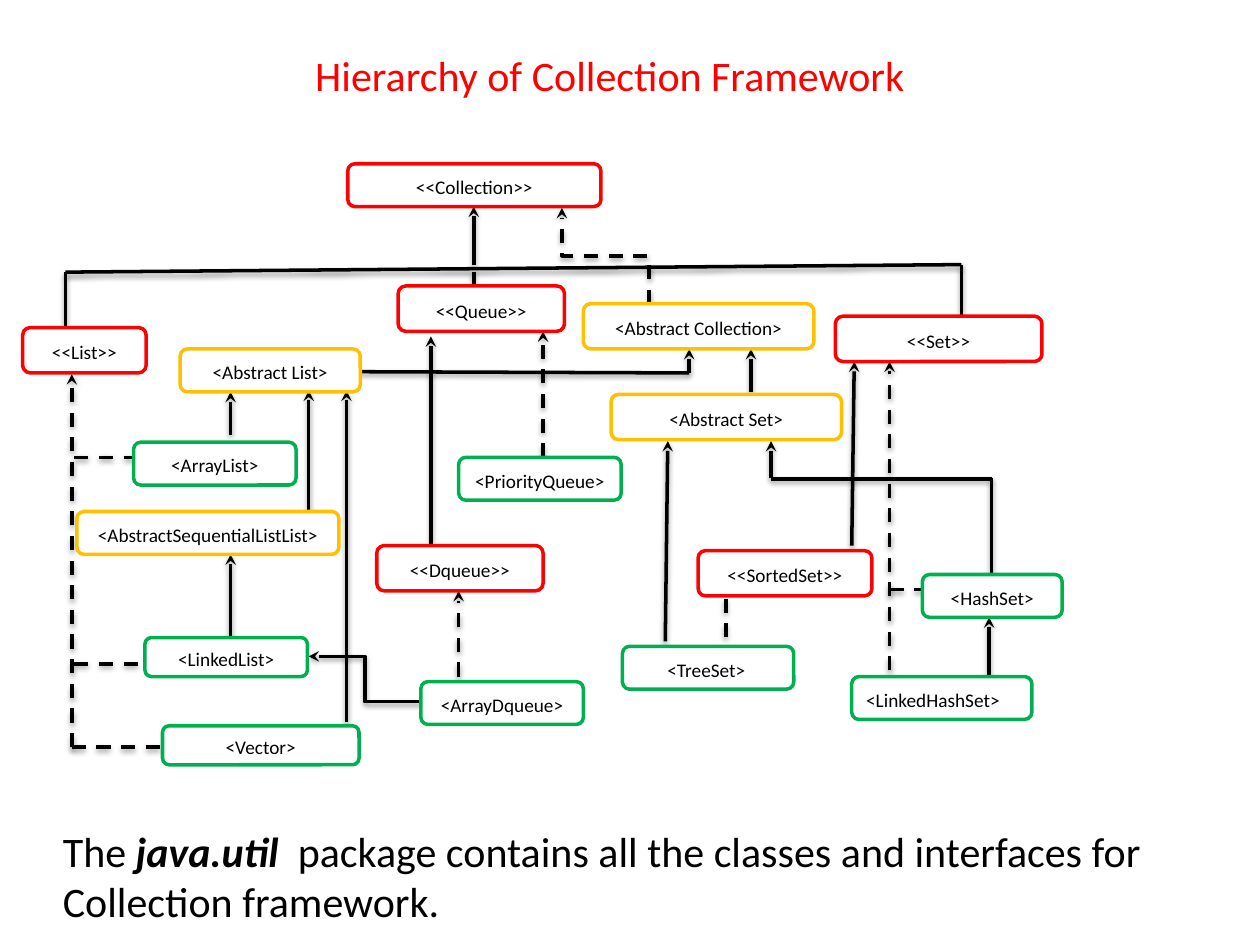
from lxml.etree import SubElement
from pptx import Presentation
from pptx.dml.color import RGBColor
from pptx.enum.dml import MSO_LINE
from pptx.enum.shapes import MSO_CONNECTOR, MSO_SHAPE
from pptx.enum.text import MSO_ANCHOR, PP_ALIGN
from pptx.oxml.ns import qn
from pptx.util import Inches, Pt

BLACK, WHITE, RED, GOLD, GREEN = "000000", "FFFFFF", "FF0000", "FFC000", "00B050"

BOXES = {
    RED: [
        ("<<Collection>>", 2.76, 1.3, 2.01, 0.34),
        ("<<List>>", 0.18, 2.6, 0.98, 0.36),
        ("<<Queue>>", 3.16, 2.27, 1.32, 0.36),
        ("<<Set>>", 6.63, 2.51, 1.64, 0.36),
        ("<<Dqueue>>", 2.99, 4.33, 1.32, 0.36),
        ("<<SortedSet>>", 5.54, 4.37, 1.38, 0.36),
    ],
    GOLD: [
        ("<Abstract Collection>", 4.63, 2.41, 1.83, 0.36),
        ("<Abstract List>", 1.43, 2.77, 1.43, 0.34),
        ("<AbstractSequentialListList>", 0.61, 4.06, 2.08, 0.34),
        ("<Abstract Set>", 4.85, 3.13, 1.83, 0.36),
    ],
    GREEN: [
        ("<ArrayList>", 1.06, 3.51, 1.29, 0.34),
        ("<LinkedList>", 1.15, 5.06, 1.29, 0.31),
        ("<Vector>", 1.29, 5.76, 1.56, 0.31),
        ("<PriorityQueue>", 3.64, 3.63, 1.29, 0.34),
        ("<ArrayDqueue>", 3.34, 5.41, 1.29, 0.34),
        ("<HashSet>", 7.32, 4.56, 1.11, 0.34),
        ("<LinkedHashSet>", 6.76, 5.37, 1.43, 0.34, 0.1),
        ("<TreeSet>", 4.94, 5.13, 1.36, 0.34, 0.34),
    ],
}

EXTENDS = [
    (3.76, 2.1, 3.76, 1.64),
    (3.42, 4.4, 3.42, 2.67),
    (6.76, 4.33, 6.78, 2.87),
    (5.47, 2.96, 5.47, 2.77),
    (1.83, 3.45, 1.83, 3.11),
    (2.75, 5.73, 2.75, 3.1),
    (2.45, 4.06, 2.45, 3.1),
    (1.83, 5.06, 1.83, 4.4),
    (5.96, 3.11, 5.96, 2.77),
    (6.12, 3.79, 6.12, 3.5),
    (7.85, 5.37, 7.85, 4.9),
    (5.28, 5.09, 5.3, 3.5),
]
IMPLEMENTS = [
    (0.57, 5.93, 0.57, 2.97),
    (4.31, 3.63, 4.31, 2.63),
    (3.64, 5.37, 3.64, 4.69),
    (7.06, 5.32, 7.06, 2.87),
]
JOINS = [
    (0.52, 2.16, 7.63, 2.1),
    (0.52, 2.6, 0.52, 2.16),
    (7.63, 2.1, 7.63, 2.51),
    (3.76, 2.16, 3.76, 2.27),
    (2.85, 2.95, 5.47, 2.96),
    (6.12, 3.8, 7.87, 3.8),
    (7.87, 3.79, 7.87, 4.55),
]
BRANCHES = [
    (0.59, 3.63, 1.06, 3.63),
    (0.59, 5.27, 1.18, 5.27),
    (0.57, 5.93, 1.29, 5.93),
    (7.06, 4.68, 7.32, 4.68),
    (5.76, 4.75, 5.76, 5.06),
]


def color(code):
    """Turn a hex string into a colour."""
    return RGBColor.from_string(code)


def style(run, size, code):
    """Set the font of a run."""
    run.font.name = "Calibri"
    run.font.size = Pt(size)
    run.font.color.rgb = color(code)


def add_box(slide, code, name, left, top, width, height, indent=None):
    """Add a rounded type box, centred unless an indent is given."""
    box = slide.shapes.add_shape(
        MSO_SHAPE.ROUNDED_RECTANGLE,
        Inches(left), Inches(top), Inches(width), Inches(height))
    box.shadow.inherit = False
    box.fill.solid()
    box.fill.fore_color.rgb = color(WHITE)
    box.line.color.rgb = color(code)
    box.line.width = Pt(2)
    frame = box.text_frame
    frame.text = name
    frame.vertical_anchor = MSO_ANCHOR.MIDDLE
    para = frame.paragraphs[0]
    para.line_spacing = 1.15
    para.alignment = PP_ALIGN.CENTER
    if indent is not None:
        para.alignment = PP_ALIGN.LEFT
        frame.margin_left = Inches(indent)
    style(para.runs[0], 11, BLACK)


def add_shadow(link):
    """Give a connector a soft shadow below it."""
    effects = SubElement(link._element.spPr, qn("a:effectLst"))
    outer = SubElement(effects, qn("a:outerShdw"), blurRad=str(Pt(3.1)),
                       dist=str(Pt(1.6)), dir="5400000", rotWithShape="0")
    tint = SubElement(outer, qn("a:srgbClr"), val=BLACK)
    SubElement(tint, qn("a:alpha"), val="38000")


def add_link(slide, ends, dashed=False, arrow=False, kind=MSO_CONNECTOR.STRAIGHT):
    """Add a connector between two points."""
    link = slide.shapes.add_connector(kind, *[Inches(end) for end in ends])
    link.line.color.rgb = color(BLACK)
    link.line.width = Pt(2)
    if dashed:
        link.line.dash_style = MSO_LINE.DASH
    if arrow:
        SubElement(link.line._get_or_add_ln(), qn("a:tailEnd"), type="stealth")
    add_shadow(link)
    return link


def add_riser(slide, left, top, width, height):
    """Add a dashed elbow arrow that leaves the lower right corner upwards."""
    midx, midy = left + width / 2, top + height / 2
    ends = (midx + height / 2, midy - width / 2,
            midx - height / 2, midy + width / 2)
    link = add_link(slide, ends, True, True, MSO_CONNECTOR.ELBOW)
    link._element.spPr.find(qn("a:xfrm")).set("rot", "5400000")


def add_text(slide, left, top, width, height, parts, code, align):
    """Add a text box from pairs of text and emphasis."""
    box = slide.shapes.add_textbox(
        Inches(left), Inches(top), Inches(width), Inches(height))
    box.text_frame.word_wrap = True
    para = box.text_frame.paragraphs[0]
    para.alignment = align
    for text, strong in parts:
        run = para.add_run()
        run.text = text
        style(run, 24, code)
        run.font.bold = run.font.italic = strong


def main():
    """Build the slide and save it."""
    deck = Presentation()
    deck.slide_width, deck.slide_height = Inches(10), Inches(7.5)
    slide = deck.slides.add_slide(deck.slide_layouts[6])
    groups = [(EXTENDS, False, True), (IMPLEMENTS, True, True),
              (JOINS, False, False), (BRANCHES, True, False)]
    for links, dashed, arrow in groups:
        for ends in links:
            add_link(slide, ends, dashed, arrow)
    add_riser(slide, 4.46, 1.65, 0.69, 0.76)
    add_link(slide, (3.34, 5.57, 2.45, 5.21), arrow=True, kind=MSO_CONNECTOR.ELBOW)
    for code, boxes in BOXES.items():
        for box in boxes:
            add_box(slide, code, *box)
    add_text(slide, 2.05, 0.34, 5.58, 0.5,
             [("Hierarchy of Collection Framework", False)], RED, PP_ALIGN.CENTER)
    add_text(slide, 0.4, 6.5, 8.91, 0.91,
             [("The", False), (" java.util ", True),
              (" package contains all the classes and interfaces for "
               "Collection framework.", False)], BLACK, PP_ALIGN.LEFT)
    deck.save("out.pptx")


if __name__ == "__main__":
    main()
